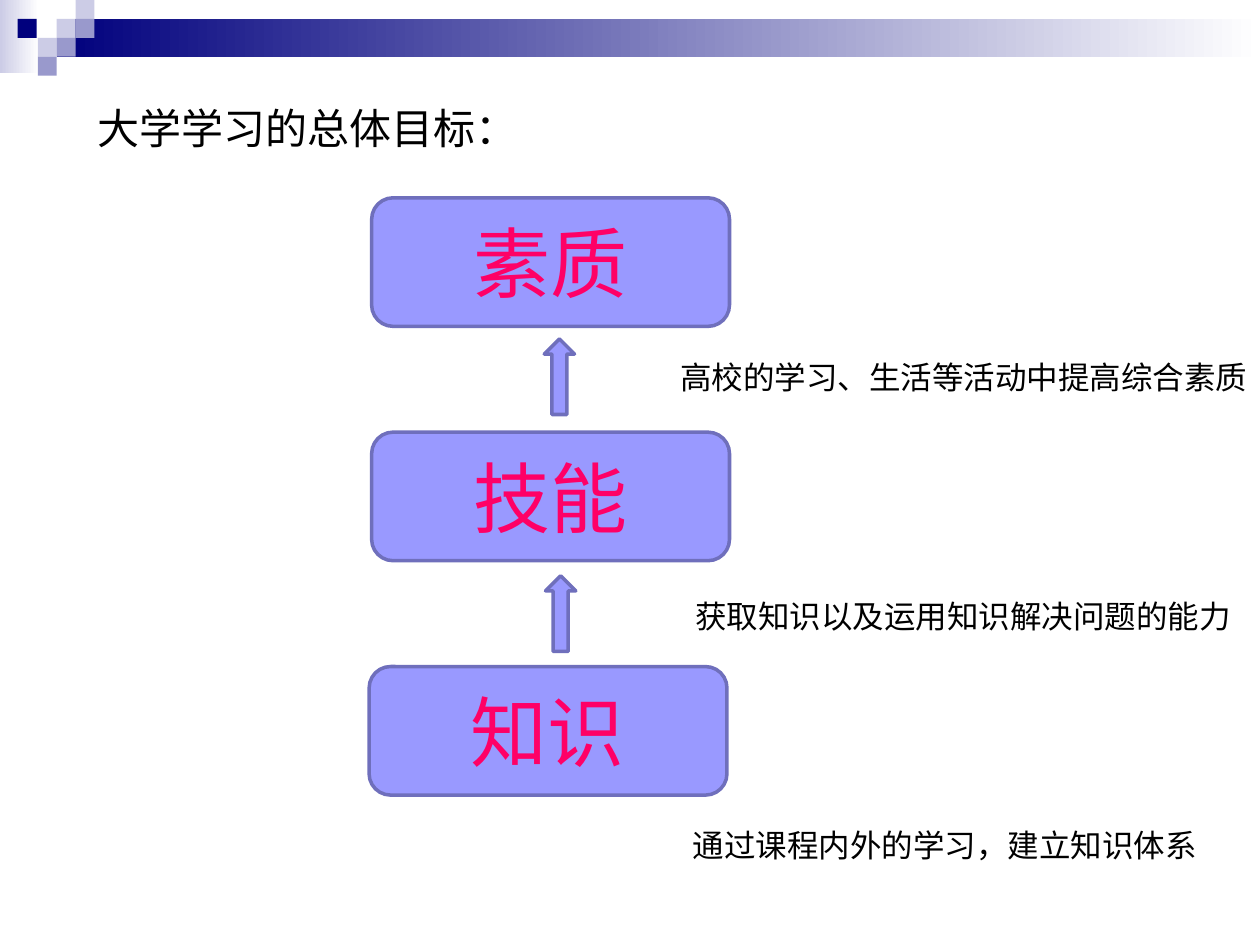
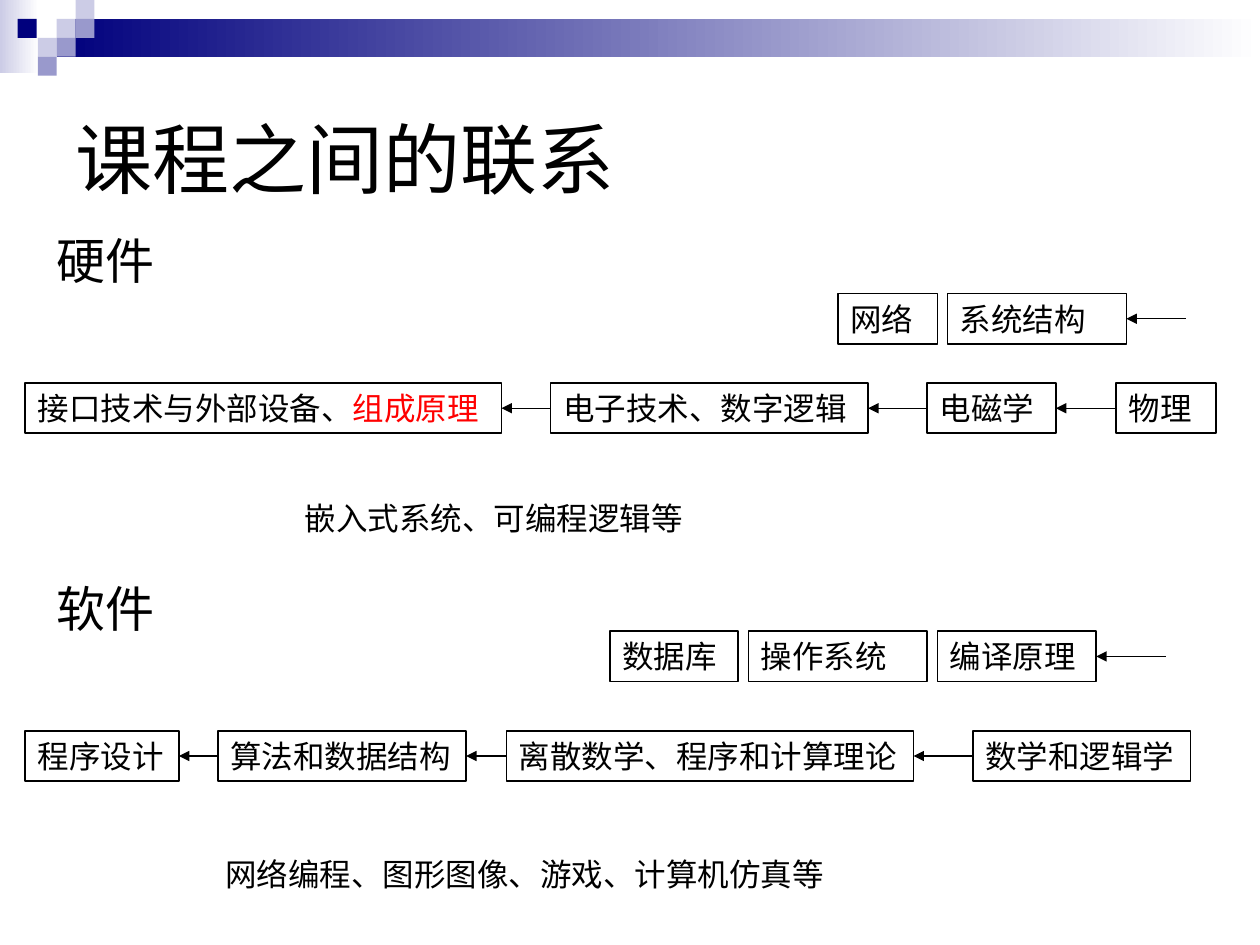
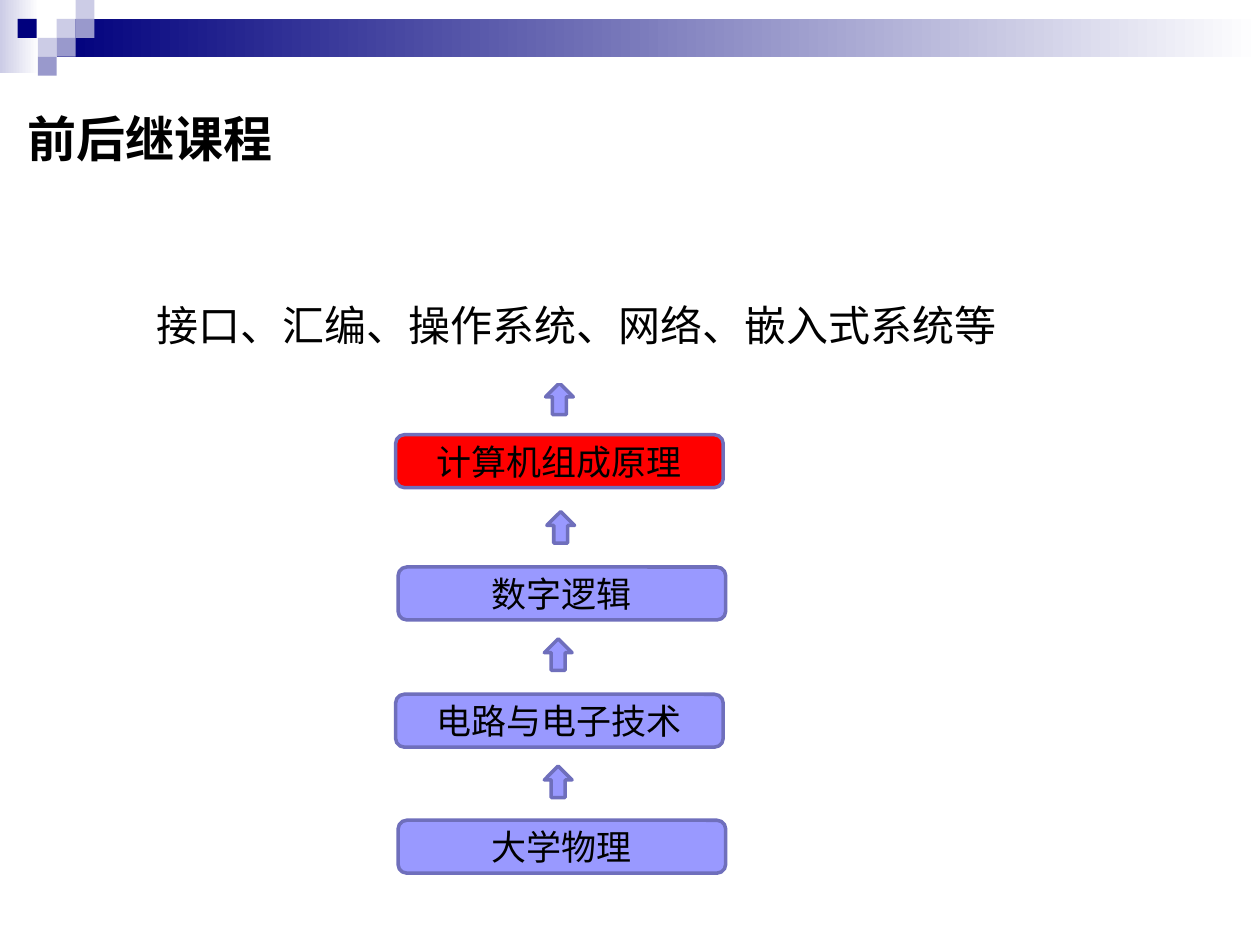
import lxml.etree
import pptx
import pptx.dml.color
import pptx.enum.shapes
import pptx.enum.text
import pptx.oxml.ns
import pptx.util

SHAPE = pptx.enum.shapes.MSO_SHAPE
ALIGN = pptx.enum.text.PP_ALIGN
ANCHOR = pptx.enum.text.MSO_ANCHOR
COLS, ROWS = 100, 75
TITLE_ONLY = 5

BLACK, WHITE, RED, PINK = "000000", "FFFFFF", "FF0000", "FF0066"
NAVY, PALE, MID = "00007D", "CCCCE6", "9999CC"
LILAC, EDGE = "9999FF", "6F6FBC"


def tint(code):
    return pptx.dml.color.RGBColor.from_string(code)


def put(item, vals):
    for name, val in vals.items():
        setattr(item, name, val)


class Pen:
    frame = {
        "word_wrap": True,
        "auto_size": pptx.enum.text.MSO_AUTO_SIZE.NONE,
        "margin_left": pptx.util.Inches(0.1),
        "margin_right": pptx.util.Inches(0.1),
        "margin_top": pptx.util.Inches(0.05),
        "margin_bottom": pptx.util.Inches(0.05),
    }

    def __init__(self):
        self.deck = pptx.Presentation()
        put(self.deck, {"slide_width": pptx.util.Inches(10),
                        "slide_height": pptx.util.Inches(7.5)})
        self.col = self.deck.slide_width / COLS
        self.row = self.deck.slide_height / ROWS
        self.slide = None

    def area(self, x, y, w, h):
        return [round(x * self.col), round(y * self.row),
                round(w * self.col), round(h * self.row)]

    def page(self, title, spot, size, **style):
        layout = self.deck.slide_layouts[TITLE_ONLY]
        self.slide = self.deck.slides.add_slide(layout)
        head = self.slide.shapes.title
        put(head, dict(zip(("left", "top", "width", "height"), self.area(*spot))))
        self.label(head, [(title, BLACK)], size, **style)

    def label(self, item, runs, size, font="Arial", bold=False, align=ALIGN.LEFT,
              anchor=ANCHOR.TOP, space=None, wrap=True):
        frame = item.text_frame
        put(frame, {**self.frame, "vertical_anchor": anchor, "word_wrap": wrap})
        para = frame.paragraphs[0]
        put(para, {"alignment": align, "line_spacing": space})
        for words, color in runs:
            run = para.add_run()
            run.text = words
            put(run.font, {"name": font, "size": pptx.util.Pt(size), "bold": bold})
            run.font.color.rgb = tint(color)

    def text(self, words, spot, size=18, **style):
        box = self.slide.shapes.add_textbox(*self.area(*spot))
        self.label(box, [(words, BLACK)], size, **style)

    def shape(self, kind, spot, fill=None, edge=None, width=2):
        item = self.slide.shapes.add_shape(kind, *self.area(*spot))
        item.shadow.inherit = False
        if isinstance(fill, tuple):
            item.fill.gradient()
            item.fill.gradient_angle = 0
            for stop, color in zip(item.fill.gradient_stops, fill):
                stop.color.rgb = tint(color)
        elif fill:
            item.fill.solid()
            item.fill.fore_color.rgb = tint(fill)
        else:
            item.fill.background()
        if edge:
            item.line.color.rgb = tint(edge)
            item.line.width = pptx.util.Pt(width)
        else:
            item.line.fill.background()
        return item

    def card(self, words, spot, size, color, fill=LILAC):
        item = self.shape(SHAPE.FLOWCHART_ALTERNATE_PROCESS, spot, fill, EDGE)
        self.label(item, [(words, color)], size, align=ALIGN.CENTER, anchor=ANCHOR.MIDDLE)

    def rise(self, *spot):
        self.shape(SHAPE.UP_ARROW, spot, LILAC, EDGE)

    def box(self, runs, x, y, w):
        item = self.shape(SHAPE.RECTANGLE, (x, y, w, 4), None, BLACK, 1)
        self.label(item, runs, 18)
        return item

    def arrow(self, end, start=None, reach=0):
        mid = end.top + end.height // 2
        right = end.left + end.width
        line = self.slide.shapes.add_connector(
            pptx.enum.shapes.MSO_CONNECTOR.STRAIGHT,
            right + round(reach * self.col), mid, right, mid)
        if start is not None:
            line.begin_connect(start, 1)
        line.end_connect(end, 3)
        line.line.color.rgb = tint(BLACK)
        line.line.width = pptx.util.Pt(0.75)
        props = line.element.spPr
        qn = pptx.oxml.ns.qn
        lxml.etree.SubElement(props.find(qn("a:ln")), qn("a:tailEnd"), type="triangle")
        lxml.etree.SubElement(props, qn("a:effectLst"))

    def chain(self, y, boxes):
        items = [self.box(runs, x, y, w) for runs, x, w in boxes]
        for end, start in zip(items, items[1:]):
            self.arrow(end, start)

    def group(self, y, boxes, reach):
        items = [self.box([(words, BLACK)], x, y, w) for words, x, w in boxes]
        self.arrow(items[-1], reach=reach)

    def band(self):
        parts = [((0, 0, 3.1, 5.8), (PALE, WHITE)),
                 ((4.5, 1.5, 95.5, 3), (NAVY, WHITE))]
        tiles = [(4.5, 1.5, PALE), (6, 0, PALE), (6, 1.5, MID), (3, 3, PALE),
                 (1.4, 1.5, NAVY), (4.5, 3, MID), (3, 4.5, MID)]
        parts += [((x, y, 1.5, 1.5), fill) for x, y, fill in tiles]
        tree = self.deck.slide_master.shapes.element
        for num, (spot, fill) in enumerate(parts, 100):
            part = self.shape(SHAPE.RECTANGLE, spot, fill).element
            part.xpath("./p:nvSpPr/p:cNvPr")[0].set("id", str(num))
            tree.append(part)


def goals(pen):
    pen.page("大学学习的总体目标：", (6.7, 7.6, 34.7, 9), 24)
    pen.band()
    for step, (words, x) in enumerate([("素质", 29.5), ("技能", 29.5), ("知识", 29.3)]):
        pen.card(words, (x, 15.7 + 18.6 * step, 28.4, 10.2), 44, PINK)
    notes = [("高校的学习、生活等活动中提高综合素质", 53, 27.9, 47),
             ("获取知识以及运用知识解决问题的能力", 54.2, 46.9, 44.5),
             ("通过课程内外的学习，建立知识体系", 54, 65.1, 42)]
    for words, x, y, w in notes:
        pen.text(words, (x, y, w, 4), wrap=False)
    pen.rise(43.2, 26.9, 2.4, 6)
    pen.rise(43.3, 45.7, 2.4, 6)


def links(pen):
    pen.page("课程之间的联系", (5, 5, 90, 15), 44, anchor=ANCHOR.MIDDLE)
    pen.text("硬件", (3.5, 17.8, 10.2, 5.7), 28)
    pen.group(23.3, [("网络", 66.5, 7.9), ("系统结构", 75.2, 14.2)], 4.7)
    pen.chain(30.4, [
        ([("接口技术与外部设备、", BLACK), ("组成原理", RED)], 2, 37.8),
        ([("电子技术、数字逻辑", BLACK)], 43.7, 25.2),
        ([("电磁学", BLACK)], 73.6, 10.2),
        ([("物理", BLACK)], 88.6, 7.9)])
    pen.text("嵌入式系统、可编程逻辑等", (23.2, 39.1, 42.5, 4))
    pen.text("软件", (3.5, 45.4, 10.2, 5.7), 28)
    pen.group(50.1, [("数据库", 48.4, 10.2), ("操作系统", 59.4, 14.2),
                     ("编译原理", 74.4, 12.6)], 5.5)
    pen.chain(58, [
        ([("程序设计", BLACK)], 2, 12.2),
        ([("算法和数据结构", BLACK)], 17.3, 19.7),
        ([("离散数学、程序和计算理论", BLACK)], 40.2, 32.3),
        ([("数学和逻辑学", BLACK)], 77.2, 17.3)])
    pen.text("网络编程、图形图像、游戏、计算机仿真等", (16.9, 67.4, 61.4, 4))


def course(pen):
    serif = "Times New Roman"
    pen.page("前后继课程", (1.2, 8.3, 39, 6.1), 28, font=serif, bold=True,
             anchor=ANCHOR.MIDDLE, space=0.8)
    steps = [("计算机组成原理", 31.4, 34.5, RED), ("数字逻辑", 31.6, 45, LILAC),
             ("电路与电子技术", 31.4, 55.1, LILAC), ("大学物理", 31.6, 65.1, LILAC)]
    for words, x, y, fill in steps:
        pen.card(words, (x, y, 26, 4.2), 20, BLACK, fill)
    for x, y in [(43.3, 30.4), (43.4, 40.6), (43.2, 50.7), (43.2, 60.8)]:
        pen.rise(x, y, 2.2, 2.5)
    later = pen.shape(SHAPE.RECTANGLE, (11.4, 21.1, 85.1, 9.3), WHITE)
    pen.label(later, [("接口、汇编、操作系统、网络、嵌入式系统等", BLACK)], 24,
              font=serif, anchor=ANCHOR.MIDDLE)


def main():
    pen = Pen()
    for draw in (goals, links, course):
        draw(pen)
    pen.deck.save("out.pptx")


if __name__ == "__main__":
    main()
